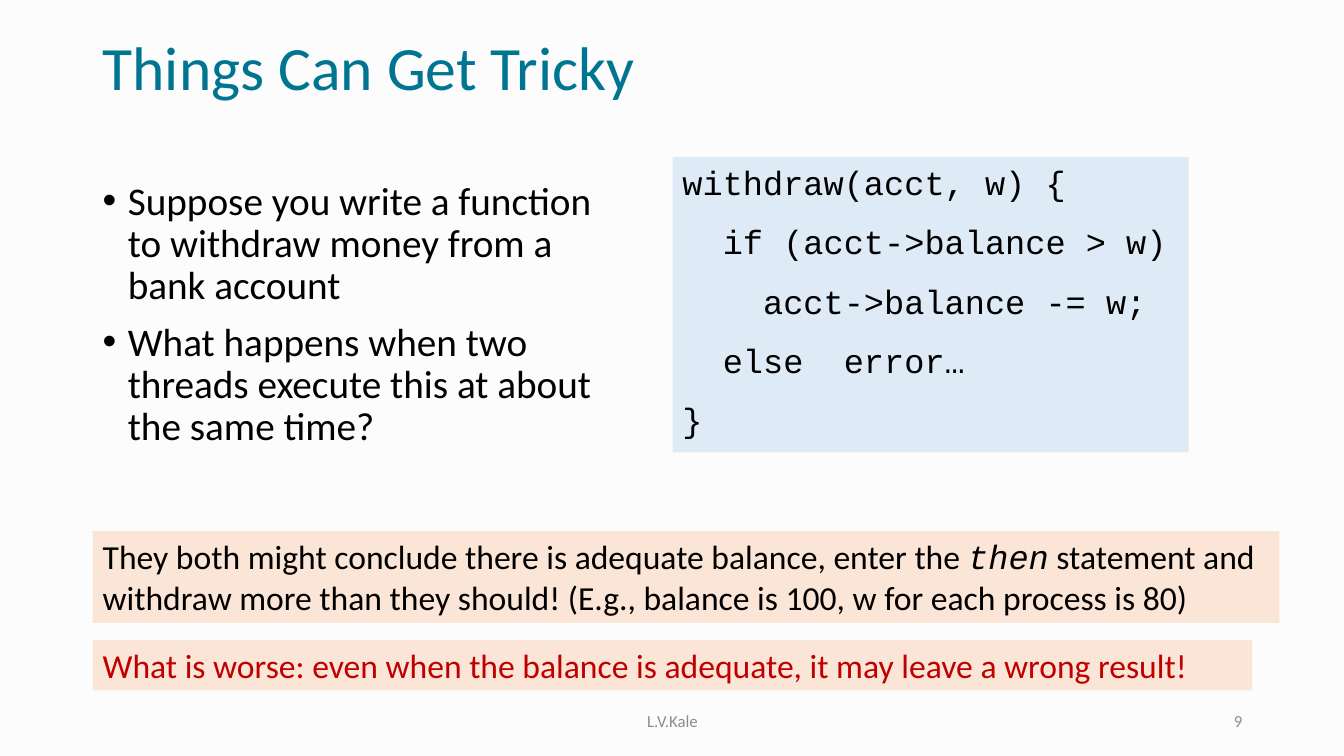
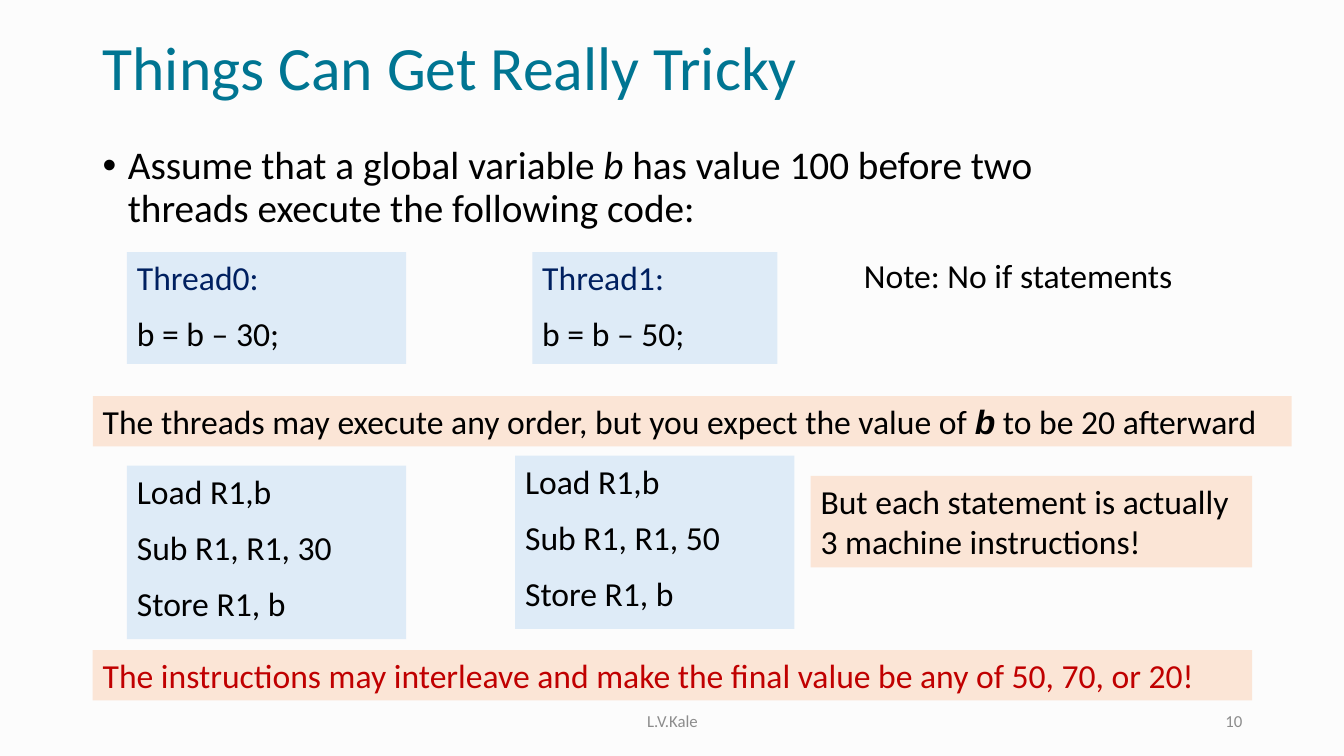
from lxml.etree import SubElement
from pptx import Presentation
from pptx.dml.color import RGBColor
from pptx.enum.shapes import MSO_SHAPE
from pptx.enum.text import MSO_ANCHOR, PP_ALIGN
from pptx.oxml.ns import qn
from pptx.util import Inches, Pt

COLORS = {
    "background": "FCFCFC",
    "title": "007592",
    "text": "000000",
    "footer": "8C8C8C",
    "code_fill": "DEEBF7",
    "note_fill": "FBE5D6",
    "thread": "002060",
    "warning": "C00000",
}

# Run formats; "color" is a key of COLORS, the rest are font attributes
BASE = {"name": "Calibri", "size": Pt(24), "color": "text"}
TITLE = {**BASE, "size": Pt(44), "color": "title"}
BODY = {**BASE, "size": Pt(28)}
FOOTER = {**BASE, "size": Pt(12), "color": "footer"}
CODE = {**BASE, "name": "Courier New"}
THREAD = {**BASE, "color": "thread"}
WARNING = {**BASE, "color": "warning"}

# Space between code lines gives both fonts the same line pitch
CODE_GAP = {"Calibri": Pt(11.4), "Courier New": Pt(13.5)}

LEFT, CONTENT_WIDTH = 0.92, 11.5
FOOTER_TOP, FOOTER_HEIGHT = 6.95, 0.4
ONE_LINE, TWO_LINES = 0.5, 0.91


def rgb(key):
    return RGBColor.from_string(COLORS[key])


def add_runs(paragraph, content, style):
    """Content is a string or a list of (text, changes to the style)."""
    pieces = [(content, {})] if isinstance(content, str) else content
    for text, changes in pieces:
        run = paragraph.add_run()
        run.text = text
        for attribute, value in {**style, **changes}.items():
            if attribute == "color":
                run.font.color.rgb = rgb(value)
            else:
                setattr(run.font, attribute, value)


def add_bullet(paragraph):
    properties = paragraph._p.get_or_add_pPr()
    properties.set("marL", str(Inches(0.25)))
    properties.set("indent", str(-Inches(0.25)))
    SubElement(properties, qn("a:buFont")).set("typeface", "Arial")
    SubElement(properties, qn("a:buChar")).set("char", "•")


def add_block(slide, box, paragraphs, style=BASE, fill=None, gap=Pt(0),
              bullets=False, anchor=MSO_ANCHOR.TOP, **paragraph_format):
    """Text in a box (left, top, width, height), on a rectangle if filled."""
    place = [Inches(length) for length in box]
    if fill:
        block = slide.shapes.add_shape(MSO_SHAPE.RECTANGLE, *place)
        block.shadow.inherit = False
        block.fill.solid()
        block.fill.fore_color.rgb = rgb(fill)
        block.line.fill.background()
    else:
        block = slide.shapes.add_textbox(*place)
    frame = block.text_frame
    frame.word_wrap = True
    frame.vertical_anchor = anchor
    for index, content in enumerate(paragraphs):
        paragraph = frame.add_paragraph() if index else frame.paragraphs[0]
        if bullets:
            add_bullet(paragraph)
        formats = {"alignment": PP_ALIGN.LEFT, **paragraph_format}
        if index:
            formats["space_before"] = gap
        for attribute, value in formats.items():
            setattr(paragraph, attribute, value)
        add_runs(paragraph, content, style)


def add_bullets(slide, box, items):
    add_block(slide, box, items, BODY, gap=Pt(10), bullets=True,
              line_spacing=0.9)


def add_code(slide, box, lines, style=BASE):
    add_block(slide, box, lines, style, "code_fill", CODE_GAP[style["name"]])


def add_note(slide, box, content, style=BASE):
    add_block(slide, box, [content], style, "note_fill")


def add_slide(prs, title, number):
    """Slide with the shared title and footer."""
    slide = prs.slides.add_slide(prs.slide_layouts[6])
    add_block(slide, (LEFT, 0.28, CONTENT_WIDTH, 0.84), [title], TITLE,
              anchor=MSO_ANCHOR.MIDDLE, line_spacing=0.9)
    for left, width, text, alignment in (
        (4.42, 4.5, "L.V.Kale", PP_ALIGN.CENTER),
        (9.42, 3, str(number), PP_ALIGN.RIGHT),
    ):
        add_block(slide, (left, FOOTER_TOP, width, FOOTER_HEIGHT), [text],
                  FOOTER, anchor=MSO_ANCHOR.MIDDLE, alignment=alignment)
    return slide


def build_withdraw_slide(prs):
    slide = add_slide(prs, "Things Can Get Tricky", 9)
    add_bullets(slide, (LEFT, 1.75, 5.35, 3.14), [
        "Suppose you write a function to withdraw money from a bank account",
        "What happens when two threads execute this at about the same time?",
    ])
    add_code(slide, (6.67, 1.56, 5.12, 2.93), [
        "withdraw(acct, w) {",
        "  if (acct->balance > w)",
        "    acct->balance -= w;",
        "  else  error…",
        "}",
    ], CODE)
    # Consequences
    add_note(slide, (LEFT, 5.27, 11.77, TWO_LINES), [
        ("They both might conclude there is adequate balance, enter the ", {}),
        ("then", {"name": "Courier New", "italic": True}),
        (" statement and withdraw more than they should! "
         "(E.g., balance is 100, w for each process is 80)", {}),
    ])
    add_note(slide, (LEFT, 6.35, CONTENT_WIDTH, ONE_LINE),
             "What is worse: even when the balance is adequate, "
             "it may leave a wrong result!", WARNING)


def build_interleaving_slide(prs):
    slide = add_slide(prs, "Things Can Get Really Tricky", 10)
    add_bullets(slide, (LEFT, 1.4, 10.52, 1.16), [[
        ("Assume that a global variable ", {}),
        ("b", {"italic": True}),
        (" has value 100 before two threads execute the following code:", {}),
    ]])
    # Each thread: its statement, then its machine instructions
    threads = [
        ("Thread0:", 30, (1.26, 2.5, 2.77, 1.11), (1.26, 4.62, 2.77, 1.72)),
        ("Thread1:", 50, (5.28, 2.5, 2.43, 1.11), (5.11, 4.52, 2.77, 1.72)),
    ]
    for name, amount, statement_box, instructions_box in threads:
        add_code(slide, statement_box,
                 [[(name, THREAD)], f"b = b – {amount};"])
        add_code(slide, instructions_box,
                 ["Load R1,b", f"Sub R1, R1, {amount}", "Store R1, b"])
    # Remarks
    add_block(slide, (8.47, 2.48, 3.5, ONE_LINE), ["Note: No if statements"])
    add_note(slide, (LEFT, 3.93, 11.89, ONE_LINE), [
        ("The threads may execute any order, "
         "but you expect the value of ", {}),
        ("b", {"name": "Arial", "bold": True, "italic": True}),
        (" to be 20 afterward", {}),
    ])
    add_note(slide, (8.04, 4.72, 4.38, TWO_LINES),
             "But each statement is actually 3 machine instructions!")
    add_note(slide, (LEFT, 6.45, CONTENT_WIDTH, ONE_LINE),
             "The instructions may interleave and make the final value "
             "be any of 50, 70, or 20!", WARNING)


def main():
    prs = Presentation()
    prs.slide_width, prs.slide_height = Inches(13.33), Inches(7.5)
    background = prs.slide_master.background.fill
    background.solid()
    background.fore_color.rgb = rgb("background")
    build_withdraw_slide(prs)
    build_interleaving_slide(prs)
    prs.save("out.pptx")


if __name__ == "__main__":
    main()
